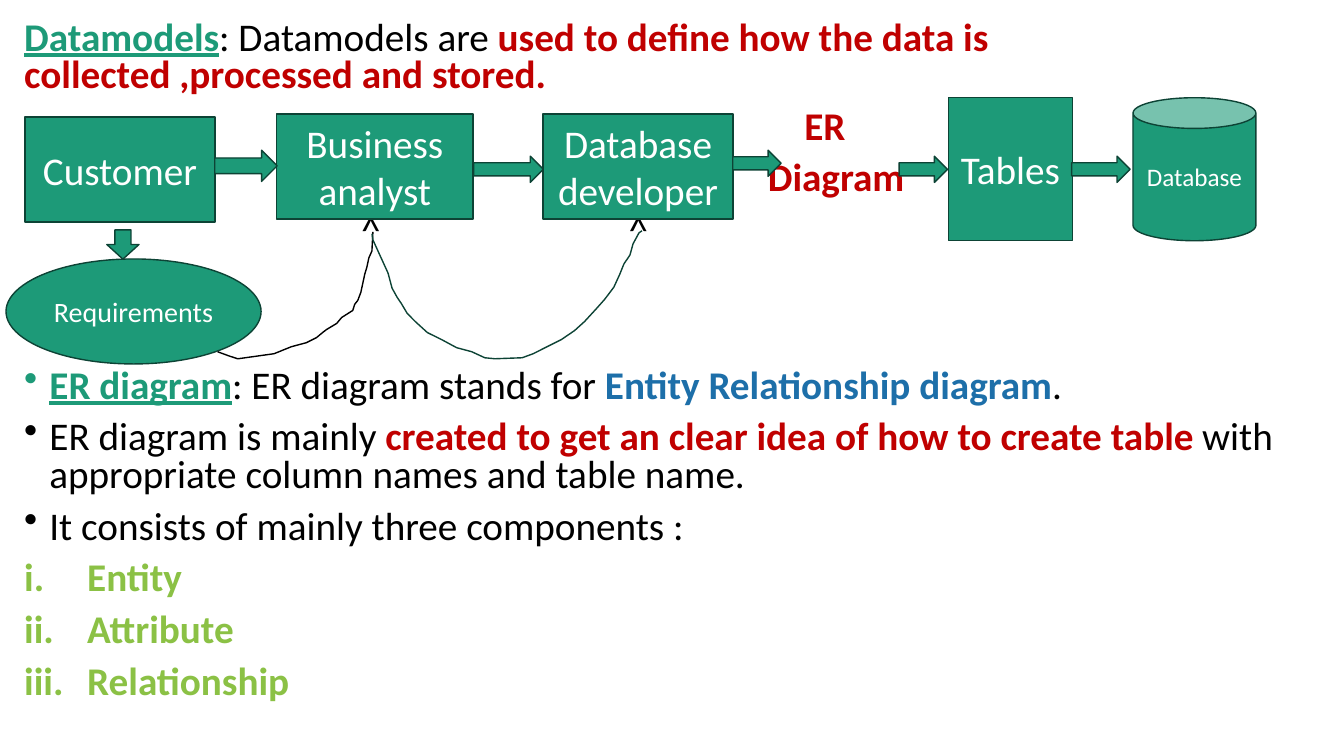
from lxml.etree import SubElement
from pptx import Presentation
from pptx.dml.color import RGBColor
from pptx.enum.shapes import MSO_SHAPE
from pptx.enum.text import MSO_ANCHOR, PP_ALIGN
from pptx.oxml.ns import qn
from pptx.util import Pt

GREEN = RGBColor(0x1D, 0x9A, 0x78)
DARK_GREEN = RGBColor(0x0D, 0x43, 0x35)
LIME = RGBColor(0x8B, 0xC1, 0x45)
BLUE = RGBColor(0x1D, 0x6F, 0xA9)
RED = RGBColor(0xC0, 0x00, 0x00)
BLACK = RGBColor(0x00, 0x00, 0x00)
WHITE = RGBColor(0xFF, 0xFF, 0xFF)

TERM = {"color": GREEN, "bold": True, "underline": True}
KEY = {"color": RED, "bold": True}
DOT = ("buChar", "char", "•")
ROMAN = ("buAutoNum", "type", "romanLcPeriod")

NODES = [
    (MSO_SHAPE.RECTANGLE, 18, 83.5, 135.5, 75, "Customer", 28),
    (MSO_SHAPE.RECTANGLE, 197.5, 81.5, 140.5, 75, "Business analyst", 28),
    (MSO_SHAPE.RECTANGLE, 388, 81.5, 135.5, 75, "Database developer", 28),
    (MSO_SHAPE.RECTANGLE, 677.5, 69.8, 88.5, 102.2, "Tables", 28),
    (MSO_SHAPE.CAN, 809.3, 69.8, 87.8, 102.2, "Database", 18),
    (MSO_SHAPE.OVAL, 4.3, 185, 182.2, 75, "Requirements", 20),
]
ARROWS = [
    (MSO_SHAPE.RIGHT_ARROW, 153.4, 107.3, 44.6, 22.3),
    (MSO_SHAPE.RIGHT_ARROW, 338.4, 111.6, 49.7, 18.7),
    (MSO_SHAPE.RIGHT_ARROW, 523.4, 107.3, 34.6, 18.7),
    (MSO_SHAPE.RIGHT_ARROW, 642.2, 111.6, 34.6, 18.7),
    (MSO_SHAPE.RIGHT_ARROW, 765.4, 111.6, 41.8, 18.7),
    (MSO_SHAPE.DOWN_ARROW, 76.3, 164.2, 23, 20.9),
]
REQUIREMENTS_TO_ANALYST = [
    (155.5, 251.3), (163.4, 254.2), (169.9, 256.3), (195.8, 252.7),
    (208.1, 247.7), (218.9, 244.8), (226.1, 241.2), (230.4, 237.6),
    (233.3, 235.4), (240.5, 231.1), (244.1, 226.8), (252, 221.8),
    (253.4, 217.4), (255.6, 214.6), (257.8, 208.8), (260.6, 195.8),
    (262.1, 190.8), (263.5, 184.3), (265.7, 179.3), (266.4, 165.6),
]
ANALYST_TO_DEVELOPER = [
    (265.7, 167), (266.4, 171.4), (277.2, 195.1), (280.1, 205.9),
    (283.7, 212.4), (286.6, 216.7), (290.9, 223.9), (296.6, 229.7),
    (305.3, 237.6), (315.4, 242.6), (326.2, 248.4), (337, 251.3),
    (346.3, 255.6), (353.5, 256.3), (373, 255.6), (380.9, 252.7),
    (393.8, 246.2), (401, 242.6), (410.4, 236.2), (417.6, 229.7),
    (426.2, 220.3), (432, 213.8), (438.5, 205.2), (442.8, 195.8),
    (445.7, 188.6), (450, 182.2), (452.2, 174.2), (456.5, 166.3),
    (458.6, 164.9),
]


def add_text(para, text, size=28, color=BLACK, bold=False, underline=False):
    span = para.add_run()
    span.text = text
    font = span.font
    font.name = "Calibri"
    font.size = Pt(size)
    font.color.rgb = color
    font.bold = bold
    font.underline = underline


def set_indent(para, left, hanging=0, bullet=None):
    properties = para._p.get_or_add_pPr()
    properties.set("marL", str(Pt(left)))
    properties.set("indent", str(Pt(-hanging)))
    if bullet:
        tag, attribute, value = bullet
        SubElement(properties, qn(f"a:{tag}")).set(attribute, value)


def add_text_box(page, left, top, width, height, paragraphs):
    box = page.shapes.add_textbox(Pt(left), Pt(top), Pt(width), Pt(height))
    frame = box.text_frame
    frame.word_wrap = True
    frame.margin_left = frame.margin_right = Pt(0)
    frame.margin_top = frame.margin_bottom = Pt(0)
    for number, (spans, indent) in enumerate(paragraphs):
        para = frame.add_paragraph() if number else frame.paragraphs[0]
        para.line_spacing = 0.8
        para.space_before = Pt(10 if number else 0)
        set_indent(para, *indent)
        for text, style in spans:
            add_text(para, text, **style)


def add_solid(page, kind, left, top, width, height):
    shape = page.shapes.add_shape(kind, Pt(left), Pt(top), Pt(width), Pt(height))
    shape.shadow.inherit = False
    shape.fill.solid()
    shape.fill.fore_color.rgb = GREEN
    shape.line.color.rgb = DARK_GREEN
    shape.line.width = Pt(1)
    return shape


def add_node(page, kind, left, top, width, height, text, size):
    frame = add_solid(page, kind, left, top, width, height).text_frame
    frame.word_wrap = True
    frame.vertical_anchor = MSO_ANCHOR.MIDDLE
    para = frame.paragraphs[0]
    para.alignment = PP_ALIGN.CENTER
    add_text(para, text, size=size, color=WHITE)


def add_curve(page, points, color):
    start, *rest = [(Pt(x), Pt(y)) for x, y in points]
    builder = page.shapes.build_freeform(*start)
    builder.add_line_segments(rest, close=False)
    curve = builder.convert_to_shape()
    curve.shadow.inherit = False
    curve.fill.background()
    curve.line.color.rgb = color
    curve.line.width = Pt(1)


def add_body(page):
    add_text_box(page, 17.3, 15.1, 710, 56, [
        ([("Datamodels", TERM), (": Datamodels are ", {}),
          ("used to define how the data is collected ,processed and stored.", KEY)], (0,)),
    ])
    add_text_box(page, 548.5, 78.7, 110, 66, [
        ([("ER", KEY)], (26,)),
        ([("Diagram", KEY)], (0,)),
    ])
    for caret_left in (258, 449):
        add_text_box(page, caret_left, 153, 20, 28, [([("^", {})], (0,))])
    dotted = (18, 18, DOT)
    components = [([(name, {"color": LIME, "bold": True})], (45, 45, ROMAN))
                  for name in ("Entity", "Attribute", "Relationship")]
    add_text_box(page, 17.3, 263.7, 918, 250, [
        ([("ER diagram", TERM), (": ER diagram stands for ", {}),
          ("Entity Relationship diagram", {"color": BLUE, "bold": True}), (".", {})], dotted),
        ([("ER diagram is mainly ", {}),
          ("created to get an clear idea of how to create table ", KEY),
          ("with appropriate column names and table name.", {})], dotted),
        ([("It consists of mainly three components :", {})], dotted),
        *components,
    ])


def main():
    deck = Presentation()
    deck.slide_width, deck.slide_height = Pt(960), Pt(540)
    page = deck.slides.add_slide(deck.slide_layouts[6])
    add_body(page)
    for node in NODES:
        add_node(page, *node)
    for arrow in ARROWS:
        add_solid(page, *arrow)
    add_curve(page, REQUIREMENTS_TO_ANALYST, BLACK)
    add_curve(page, ANALYST_TO_DEVELOPER, DARK_GREEN)
    deck.save("out.pptx")


if __name__ == "__main__":
    main()
